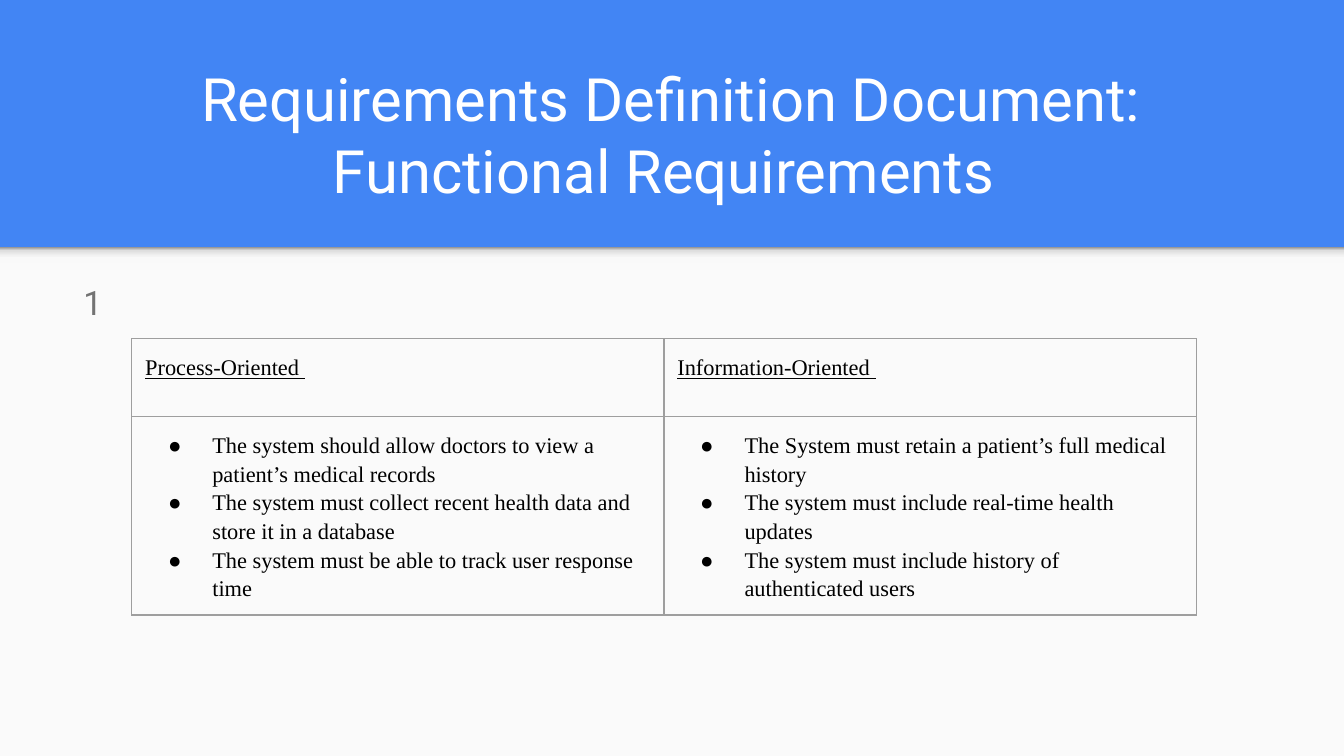
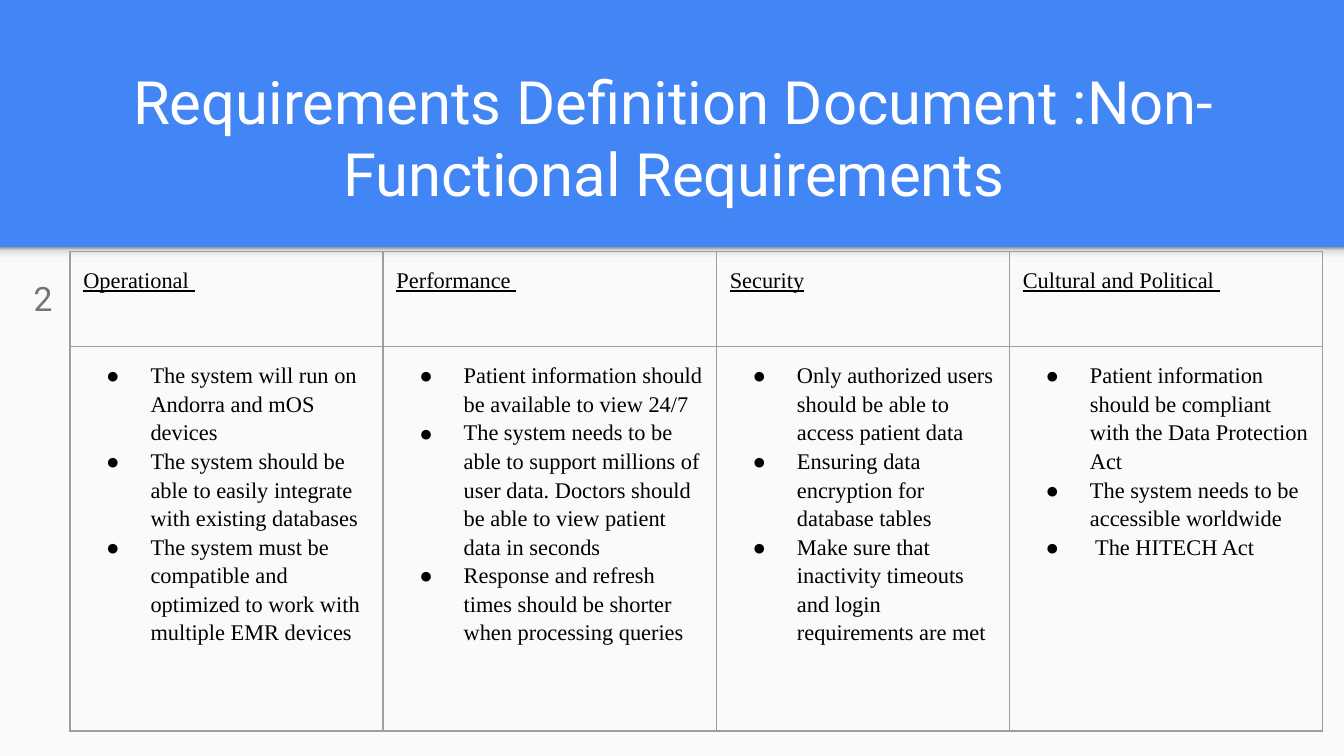
from lxml import etree
from pptx import Presentation
from pptx.dml.color import RGBColor
from pptx.enum.shapes import MSO_SHAPE
from pptx.enum.text import MSO_ANCHOR, MSO_AUTO_SIZE, PP_ALIGN
from pptx.oxml.ns import qn
from pptx.util import Inches, Pt

RECT = MSO_SHAPE.RECTANGLE
TOP, BOTTOM = MSO_ANCHOR.TOP, MSO_ANCHOR.BOTTOM
LEFT, CENTER = PP_ALIGN.LEFT, PP_ALIGN.CENTER
NO_FIT = MSO_AUTO_SIZE.NONE

COLORS = {"blue": "4285F4", "paper": "FAFAFA", "white": "FFFFFF",
          "grey": "737373", "black": "000000", "border": "9E9E9E"}
SHADOW_STOPS = [(0, "F9F9F9"), (36, "F9F9F9"), (80, "DEDEDE"), (100, "999999")]
SANS, SERIF = "Roboto", "Times New Roman"
WIDTH, BAND = 10, 1.84
HEIGHT = WIDTH * 9 / 16
PAD = 0.1


def rgb(name):
    return RGBColor.from_string(COLORS[name])


def sub(parent, tag, **attrs):
    el = etree.SubElement(parent, qn(tag))
    for key, value in attrs.items():
        el.set(key, str(value))
    return el


def solid(parent, color):
    sub(sub(parent, "a:solidFill"), "a:srgbClr", val=COLORS[color])


def write(tf, lines, font=SERIF, size=12, color="black", underline=False,
          align=LEFT, spacing=1.15, before=0, after=0, bullet=False):
    tf.word_wrap = True
    for i, line in enumerate(lines):
        p = tf.paragraphs[0] if i == 0 else tf.add_paragraph()
        p.alignment = align
        p.line_spacing = spacing
        p.space_before = Pt(before if i == 0 else 0)
        p.space_after = Pt(after)
        pPr = p._p.get_or_add_pPr()
        pPr.set("marL", str(Inches(0.5 if bullet else 0)))
        pPr.set("indent", str(Inches(-0.33 if bullet else 0)))
        if bullet:
            sub(sub(pPr, "a:buClr"), "a:srgbClr", val=COLORS[color])
            sub(pPr, "a:buSzPts", val=size * 100)
            sub(pPr, "a:buFont", typeface=font)
            sub(pPr, "a:buChar", char="●")
        else:
            sub(pPr, "a:buNone")
        r = p.add_run()
        r.text = line
        r.font.name, r.font.size = font, Pt(size)
        r.font.color.rgb = rgb(color)
        r.font.underline = underline


class Deck:
    def __init__(self):
        self.prs = Presentation()
        self.prs.slide_width, self.prs.slide_height = Inches(WIDTH), Inches(HEIGHT)
        self.layout = self.prs.slide_layouts[1]
        self.layout.background.fill.solid()
        self.layout.background.fill.fore_color.rgb = rgb("blue")
        self.s = None

    def slide(self):
        self.s = self.prs.slides.add_slide(self.layout)
        if len(self.prs.slides) == 1:
            self.shared_bands()

    def shared_bands(self):
        paper = self.band(HEIGHT - BAND)
        paper.fill.solid()
        paper.fill.fore_color.rgb = rgb("paper")
        shadow = self.band(0.12)
        grad = etree.Element(qn("a:gradFill"))
        stops = sub(grad, "a:gsLst")
        for pos, color in SHADOW_STOPS:
            sub(sub(stops, "a:gs", pos=pos * 1000), "a:srgbClr", val=color)
        sub(grad, "a:lin", ang=270 * 60000, scaled=0)
        shadow._element.spPr.insert(2, grad)
        for i, sp in enumerate((paper, shadow)):
            self.layout.shapes.element.insert(2 + i, sp._element)

    def band(self, height):
        sp = self.s.shapes.add_shape(RECT, 0, Inches(BAND), Inches(WIDTH), Inches(height))
        sp.line.fill.background()
        sp.shadow.inherit = False
        return sp

    def placeholder(self, idx, at, anchor):
        sp = self.s.placeholders[idx]
        sp.left, sp.top, sp.width, sp.height = map(Inches, at)
        tf = sp.text_frame
        tf.auto_size = NO_FIT
        tf.vertical_anchor = anchor
        tf.margin_left = tf.margin_right = Inches(PAD)
        tf.margin_top = tf.margin_bottom = Inches(PAD)
        return tf

    def title(self, text, left, top):
        tf = self.placeholder(0, (left, top, 8.99, 0.84), BOTTOM)
        write(tf, [text], font=SANS, size=32, color="white", align=CENTER, spacing=1.0)

    def number(self, text, at):
        write(self.placeholder(1, at, TOP), [text], font=SANS, size=18,
              color="grey", after=16)

    def table(self, left, top, cols, rows, columns):
        frame = self.s.shapes.add_table(len(rows), len(cols), Inches(left), Inches(top),
                                        Inches(sum(cols)), Inches(sum(rows)))
        tbl = frame.table
        tbl.first_row = tbl.horz_banding = False
        for row, height in zip(tbl.rows, rows):
            row.height = Inches(height)
        for c, (width, (head, items)) in enumerate(zip(cols, columns)):
            tbl.columns[c].width = Inches(width)
            write(self.cell(tbl, 0, c), [head], underline=True, before=12, after=12)
            write(self.cell(tbl, 1, c), items, before=12, bullet=True)

    def cell(self, tbl, row, col):
        cell = tbl.cell(row, col)
        cell.margin_left = cell.margin_right = Inches(PAD)
        cell.margin_top = cell.margin_bottom = Inches(PAD)
        cell.fill.background()
        tcPr = cell._tc.get_or_add_tcPr()
        for i, side in enumerate("LRTB"):
            ln = sub(tcPr, "a:ln" + side, w=Pt(0.75))
            solid(ln, "border")
            tcPr.insert(i, ln)
        return cell.text_frame


deck = Deck()

deck.slide()
deck.title("Requirements Definition Document: Functional Requirements ", 0.5, 0.79)
deck.number("1", (0.52, 1.98, 0.29, 0.14))
deck.table(0.98, 2.52, [3.96] * 2, [0.58, 1.03], [
    ("Process-Oriented ", [
        "The system should allow doctors to view a patient’s medical records",
        "The system must collect recent health data and store it in a database ",
        "The system must be able to track user response time "]),
    ("Information-Oriented ", [
        "The System must retain a patient’s full medical history ",
        "The system must include real-time health updates ",
        "The system must include history of authenticated users "]),
])

deck.slide()
deck.title("Requirements Definition Document :Non-Functional Requirements", 0.52, 0.81)
deck.number("2", (0.15, 1.92, 0.37, 0.46))
deck.table(0.52, 1.87, [2.33, 2.48, 2.18, 2.33], [0.71, 2.86], [
    ("Operational ", [
        "The system will run on Andorra and mOS devices",
        "The system should be able to easily integrate with existing databases",
        "The system must be compatible and optimized to work with multiple EMR devices"]),
    ("Performance ", [
        "Patient information should be available to view 24/7",
        "The system needs to be able to support millions of user data. "
        "Doctors should be able to view patient data in seconds",
        "Response and refresh times should be shorter when processing queries "]),
    ("Security", [
        "Only authorized users should be able to access patient data ",
        "Ensuring data encryption for database tables ",
        "Make sure that inactivity timeouts and login requirements are met"]),
    ("Cultural and Political ", [
        "Patient information should be compliant with the Data Protection Act ",
        "The system needs to be accessible worldwide ",
        " The HITECH Act"]),
])

deck.prs.save("out.pptx")
